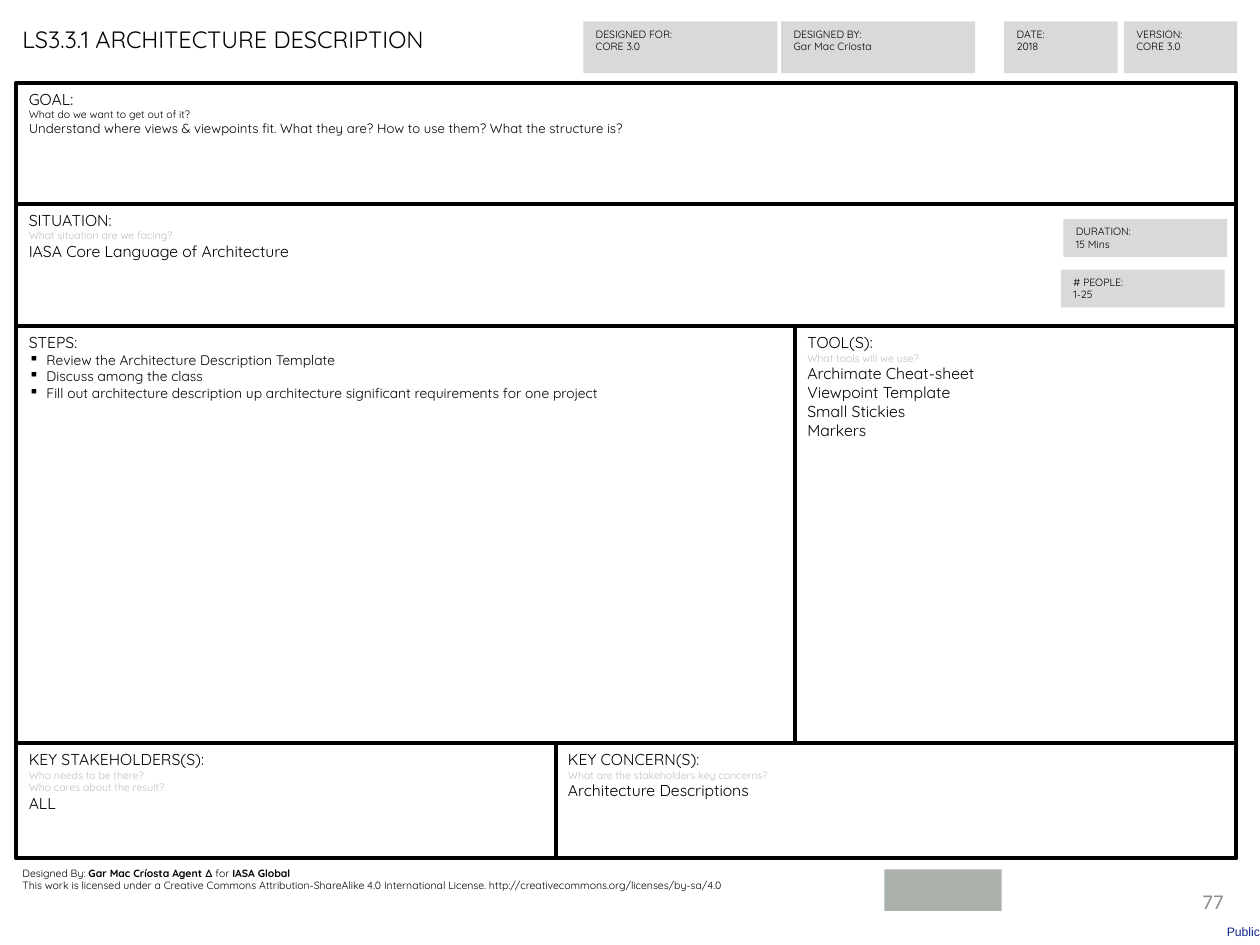
from lxml.etree import SubElement as Sub
from pptx import Presentation
from pptx.dml.color import RGBColor as RGB
from pptx.enum.shapes import MSO_SHAPE as SHAPE
from pptx.enum.text import MSO_ANCHOR as ANCHOR, PP_ALIGN as ALIGN
from pptx.oxml.ns import qn
from pptx.util import Inches, Pt

COLORS = {
    "ink": "000000",
    "hint": "BFBFBF",
    "card": "D9D9D9",
    "badge": "AAB2AB",
    "page": "8C8C8C",
    "mark": "0F238C",
}

# Each style: font values, then a colour key
STYLES = {
    "title": ({"name": "Quicksand", "size": Pt(13.5)}, "ink"),
    "head": ({"name": "Quicksand", "size": Pt(9)}, "ink"),
    "goal": ({"name": "Quicksand", "size": Pt(7.5)}, "ink"),
    "step": ({"name": "Quicksand", "size": Pt(7.9)}, "ink"),
    "small": ({"name": "Quicksand", "size": Pt(6)}, "ink"),
    "bold": ({"name": "Quicksand", "size": Pt(6), "bold": True}, "ink"),
    "hint": ({"name": "Quicksand", "size": Pt(6)}, "hint"),
    "page": ({"name": "Calibri", "size": Pt(12)}, "page"),
    "mark": ({"name": "Arial", "size": Pt(7)}, "mark"),
}

# Canvas grid
LEFT, MID, SPLIT, RIGHT = 0.13, 4.41, 6.31, 9.81
ROWS = [0.66, 1.62, 2.59, 5.9, 6.81]

# Panels: left, right, row, lines of (style, text)
PANELS = [
    (LEFT, RIGHT, 0, [
        ("head", "GOAL:"),
        ("small", "What do we want to get out of it?"),
        ("goal", "Understand where views & viewpoints fit. What they are? "
                 "How to use them? What the structure is?"),
    ]),
    (LEFT, RIGHT, 1, [
        ("head", "SITUATION:"),
        ("hint", "What situation are we facing?"),
        ("head", "IASA Core Language of Architecture"),
    ]),
    (LEFT, SPLIT, 2, [
        ("head", "STEPS:"),
        ("step", "Review the Architecture Description Template"),
        ("step", "Discuss among the class"),
        ("step", "Fill out architecture description up architecture "
                 "significant requirements for one project"),
    ]),
    (SPLIT, RIGHT, 2, [
        ("head", "TOOL(S):"),
        ("hint", "What tools will we use?"),
        ("head", "Archimate Cheat-sheet"),
        ("head", "Viewpoint Template"),
        ("head", "Small Stickies"),
        ("head", "Markers"),
    ]),
    (LEFT, MID, 3, [
        ("head", "KEY STAKEHOLDERS(S):"),
        ("hint", "Who needs to be there?"),
        ("hint", "Who cares about the result?"),
        ("head", "ALL"),
    ]),
    (MID, RIGHT, 3, [
        ("head", "KEY CONCERN(S):"),
        ("hint", "What are the stakeholders key concerns?"),
        ("head", "Architecture Descriptions"),
    ]),
]

# Cards: place, label, value
CARDS = [
    ((4.63, 0.17, 1.54, 0.41), "DESIGNED FOR:", "CORE 3.0"),
    ((6.2, 0.17, 1.54, 0.41), "DESIGNED BY:", "Gar Mac Críosta"),
    ((7.97, 0.17, 0.9, 0.41), "DATE:", "2018"),
    ((8.92, 0.17, 0.9, 0.41), "VERSION:", "CORE 3.0"),
    ((8.44, 1.74, 1.3, 0.3), "DURATION:", "15 Mins"),
    ((8.42, 2.14, 1.3, 0.3), "# PEOPLE:", "1-25"),
]

CREDIT = [
    [("small", "Designed By: "), ("bold", "Gar Mac Críosta Agent ∆"),
     ("small", " for "), ("bold", "IASA Global")],
    [("small", "This work is licensed under a Creative Commons "
               "Attribution-ShareAlike 4.0 International License. "
               "http://creativecommons.org/licenses/by-sa/4.0")],
]


def tint(key):
    return RGB.from_string(COLORS[key])


def add_bullet(para):
    props = para._p.get_or_add_pPr()
    props.set("marL", str(Inches(0.14)))
    props.set("indent", str(-Inches(0.14)))
    Sub(props, qn("a:buChar")).set("char", "▪")


def write(frame, paras, align=ALIGN.LEFT):
    """Fill a frame with paragraphs, each a list of (style, text) runs."""
    for num, runs in enumerate(paras):
        para = frame.paragraphs[0] if num == 0 else frame.add_paragraph()
        para.alignment = align
        if runs[0][0] == "step":
            add_bullet(para)
        for style, text in runs:
            run = para.add_run()
            run.text = text
            values, key = STYLES[style]
            for name, value in values.items():
                setattr(run.font, name, value)
            run.font.color.rgb = tint(key)


def add_box(slide, place, fill=None, edge=None, lines=()):
    box = slide.shapes.add_shape(SHAPE.RECTANGLE, *map(Inches, place))
    box.shadow.inherit = False
    if fill:
        box.fill.solid()
        box.fill.fore_color.rgb = tint(fill)
    else:
        box.fill.background()
    if edge:
        box.line.color.rgb = tint(edge)
        box.line.width = Pt(2.25)
    else:
        box.line.fill.background()
    box.text_frame.vertical_anchor = ANCHOR.TOP
    write(box.text_frame, [[line] for line in lines])


def add_text(slide, place, paras, wrap=True, align=ALIGN.LEFT,
             anchor=ANCHOR.TOP, inset=None):
    frame = slide.shapes.add_textbox(*map(Inches, place)).text_frame
    frame.word_wrap = wrap
    frame.vertical_anchor = anchor
    if inset is not None:
        for side in ("left", "top", "right", "bottom"):
            setattr(frame, f"margin_{side}", Inches(inset))
    write(frame, paras, align)


def main():
    deck = Presentation()
    deck.slide_width, deck.slide_height = Inches(10), Inches(7.5)
    slide = deck.slides.add_slide(deck.slide_layouts[6])

    # Licence badge
    add_box(slide, (7.02, 6.9, 0.93, 0.33), fill="badge")

    # Canvas frame and panels
    add_box(slide, (LEFT, ROWS[0], RIGHT - LEFT, ROWS[-1] - ROWS[0]),
            edge="ink")
    for left, right, row, lines in PANELS:
        top, low = ROWS[row:row + 2]
        add_box(slide, (left, top, right - left, low - top),
                edge="ink", lines=lines)

    # Title and cards
    add_text(slide, (0.08, 0.15, 3.44, 0.33),
             [[("title", "LS3.3.1 ARCHITECTURE DESCRIPTION")]], wrap=False)
    for place, label, value in CARDS:
        add_box(slide, place, fill="card",
                lines=[("small", label), ("small", value)])

    # Footer
    add_text(slide, (0.08, 6.83, 8.45, 0.3), CREDIT)
    add_text(slide, (7.06, 6.95, 2.75, 0.4), [[("page", "77")]],
             align=ALIGN.RIGHT, anchor=ANCHOR.MIDDLE)
    add_text(slide, (9.5, 7.28, 0.5, 0.22), [[("mark", "Public")]],
             align=ALIGN.RIGHT, anchor=ANCHOR.MIDDLE, inset=0)

    deck.save("out.pptx")


if __name__ == "__main__":
    main()
